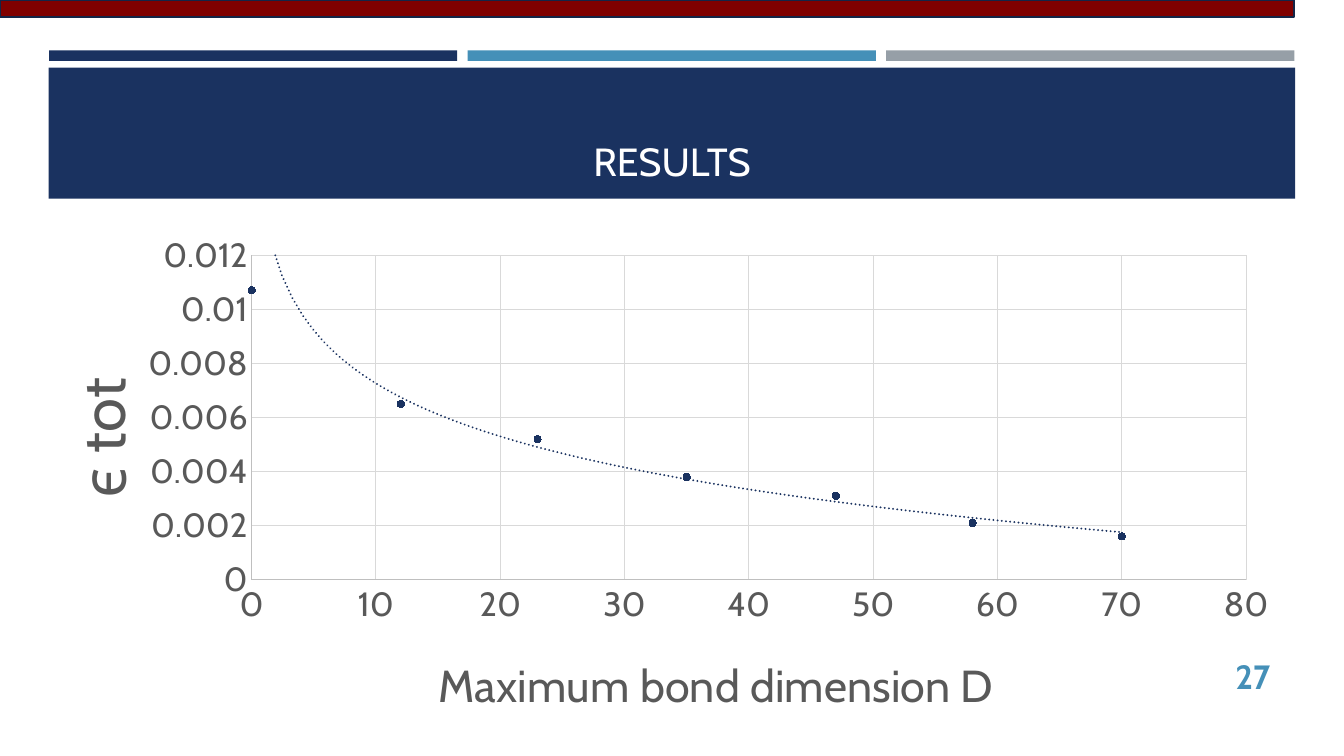
from dataclasses import dataclass

from lxml.etree import SubElement
from pptx import Presentation
from pptx.chart.data import XyChartData
from pptx.dml.color import RGBColor
from pptx.enum.chart import XL_CHART_TYPE as ChartType
from pptx.enum.chart import XL_MARKER_STYLE as MarkerStyle
from pptx.enum.chart import XL_TICK_MARK as TickMark
from pptx.enum.shapes import MSO_SHAPE as ShapeKind
from pptx.enum.text import MSO_ANCHOR as Anchor
from pptx.enum.text import PP_ALIGN as Align
from pptx.oxml import parse_xml
from pptx.oxml.ns import nsdecls, qn
from pptx.util import Pt


@dataclass(frozen=True)
class Theme:
    font: str = "Cabin"
    navy: str = "1A3260"
    blue: str = "4590B8"
    gray: str = "969FA7"
    red: str = "7F0000"
    outline: str = "132547"
    white: str = "FFFFFF"
    text: str = "595959"
    axis: str = "BFBFBF"
    grid: str = "D9D9D9"
    title_size: int = 28
    number_size: int = 24
    tick_size: int = 24
    x_title_size: int = 32
    y_title_size: int = 44


THEME = Theme()
BOND_DIMENSIONS = [0, 12, 23, 35, 47, 58, 70]
ERRORS = [0.0107, 0.0065, 0.0052, 0.0038, 0.0031, 0.0021, 0.0016]


def style_font(font, size, color, bold=False):
    font.name = THEME.font
    font.size = Pt(size)
    font.bold = bold
    font.color.rgb = RGBColor.from_string(color)


def style_line(line, color, width):
    line.color.rgb = RGBColor.from_string(color)
    line.width = Pt(width)


def add_bar(slide, left, top, width, height, color, outline=None):
    bar = slide.shapes.add_shape(
        ShapeKind.RECTANGLE, Pt(left), Pt(top), Pt(width), Pt(height))
    bar.shadow.inherit = False
    bar.fill.solid()
    bar.fill.fore_color.rgb = RGBColor.from_string(color)
    if outline:
        style_line(bar.line, outline, 1.75)
    else:
        bar.line.fill.background()


def add_text(slide, box, text, size, color, align, anchor, bold=False):
    frame = slide.shapes.add_textbox(*map(Pt, box)).text_frame
    frame.word_wrap = True
    frame.vertical_anchor = anchor
    paragraph = frame.paragraphs[0]
    paragraph.text = text
    paragraph.alignment = align
    style_font(paragraph.font, size, color, bold)


def set_layout(parent, **settings):
    """Place a chart part by fractions of the chart's size."""
    layout = parent.find(qn("c:layout"))
    manual = SubElement(layout, qn("c:manualLayout"))
    for name, value in settings.items():
        SubElement(manual, qn(f"c:{name}")).set("val", str(value))


def style_axis(axis, maximum, step, title, title_size, x, y, rotation=0):
    axis.minimum_scale = 0
    axis.maximum_scale = maximum
    axis.major_unit = step
    axis.major_tick_mark = axis.minor_tick_mark = TickMark.NONE
    axis.has_major_gridlines = True
    style_line(axis.major_gridlines.format.line, THEME.grid, 0.75)
    style_line(axis.format.line, THEME.axis, 0.75)
    style_font(axis.tick_labels.font, THEME.tick_size, THEME.text)
    axis.tick_labels.number_format = "General"
    axis.tick_labels.number_format_is_linked = False
    paragraph = axis.axis_title.text_frame.paragraphs[0]
    paragraph.text = title
    style_font(paragraph.font, title_size, THEME.text)
    element = axis.axis_title.element
    next(element.iter(qn("a:bodyPr"))).set("rot", str(rotation * 60000))
    set_layout(element, xMode="edge", yMode="edge", x=x, y=y)


def add_log_trend(plot_area):
    trend = parse_xml(
        f'<c:trendline {nsdecls("c", "a")}><c:spPr><a:ln w="{Pt(1.5)}" cap="rnd">'
        f'<a:solidFill><a:srgbClr val="{THEME.navy}"/></a:solidFill>'
        '<a:prstDash val="sysDot"/></a:ln></c:spPr>'
        '<c:trendlineType val="log"/><c:dispRSqr val="0"/>'
        '<c:dispEq val="0"/></c:trendline>')
    next(plot_area.iter(qn("c:xVal"))).addprevious(trend)


def add_error_chart(slide, left, top, width, height):
    data = XyChartData()
    points = data.add_series("Series 1")
    for dimension, error in zip(BOND_DIMENSIONS, ERRORS):
        points.add_data_point(dimension, error)
    chart = slide.shapes.add_chart(
        ChartType.XY_SCATTER, Pt(left), Pt(top), Pt(width), Pt(height), data).chart
    chart.has_legend = False
    chart.has_title = False
    style_font(chart.font, THEME.tick_size, THEME.text)
    chart.plots[0].vary_by_categories = False
    plot_area = next(chart.element.iter(qn("c:plotArea")))
    if plot_area.find(qn("c:layout")) is None:
        plot_area.insert(0, parse_xml(f'<c:layout {nsdecls("c")}/>'))
    set_layout(plot_area, layoutTarget="inner", xMode="edge", yMode="edge",
               x=0.18, y=0.06, w=0.78, h=0.64)

    # Axes
    style_axis(chart.category_axis, 80, 10, "Maximum bond dimension D",
               THEME.x_title_size, 0.32, 0.83)
    style_axis(chart.value_axis, 0.012, 0.002, "ϵ tot",
               THEME.y_title_size, 0.02, 0.28, rotation=-90)

    # Points and trend
    series = chart.plots[0].series[0]
    series.format.line.fill.background()
    marker = series.marker
    marker.style = MarkerStyle.CIRCLE
    marker.size = 5
    marker.format.fill.solid()
    marker.format.fill.fore_color.rgb = RGBColor.from_string(THEME.navy)
    style_line(marker.format.line, THEME.navy, 0.75)
    add_log_trend(plot_area)


def main():
    presentation = Presentation()
    presentation.slide_width = Pt(960)
    presentation.slide_height = Pt(540)
    slide = presentation.slides.add_slide(presentation.slide_layouts[6])

    # Accent strips and title band
    for index, color in enumerate((THEME.navy, THEME.blue, THEME.gray)):
        add_bar(slide, 35 + index * 299, 36, 291.6, 7.5, color)
    add_bar(slide, 34.7, 48.3, 890.4, 93.7, THEME.navy)
    add_text(slide, (46, 55.4, 868, 80), "RESULTS", THEME.title_size,
             THEME.white, Align.CENTER, Anchor.BOTTOM)

    # Chart and page number
    add_error_chart(slide, 15.8, 160.6, 910.8, 362.2)
    add_text(slide, (831.6, 468.7, 82.8, 28.8), "27", THEME.number_size,
             THEME.blue, Align.RIGHT, Anchor.MIDDLE, bold=True)

    # Top strip
    add_bar(slide, 0, 0, 924.5, 12.2, THEME.red, THEME.outline)

    presentation.save("out.pptx")


if __name__ == "__main__":
    main()
